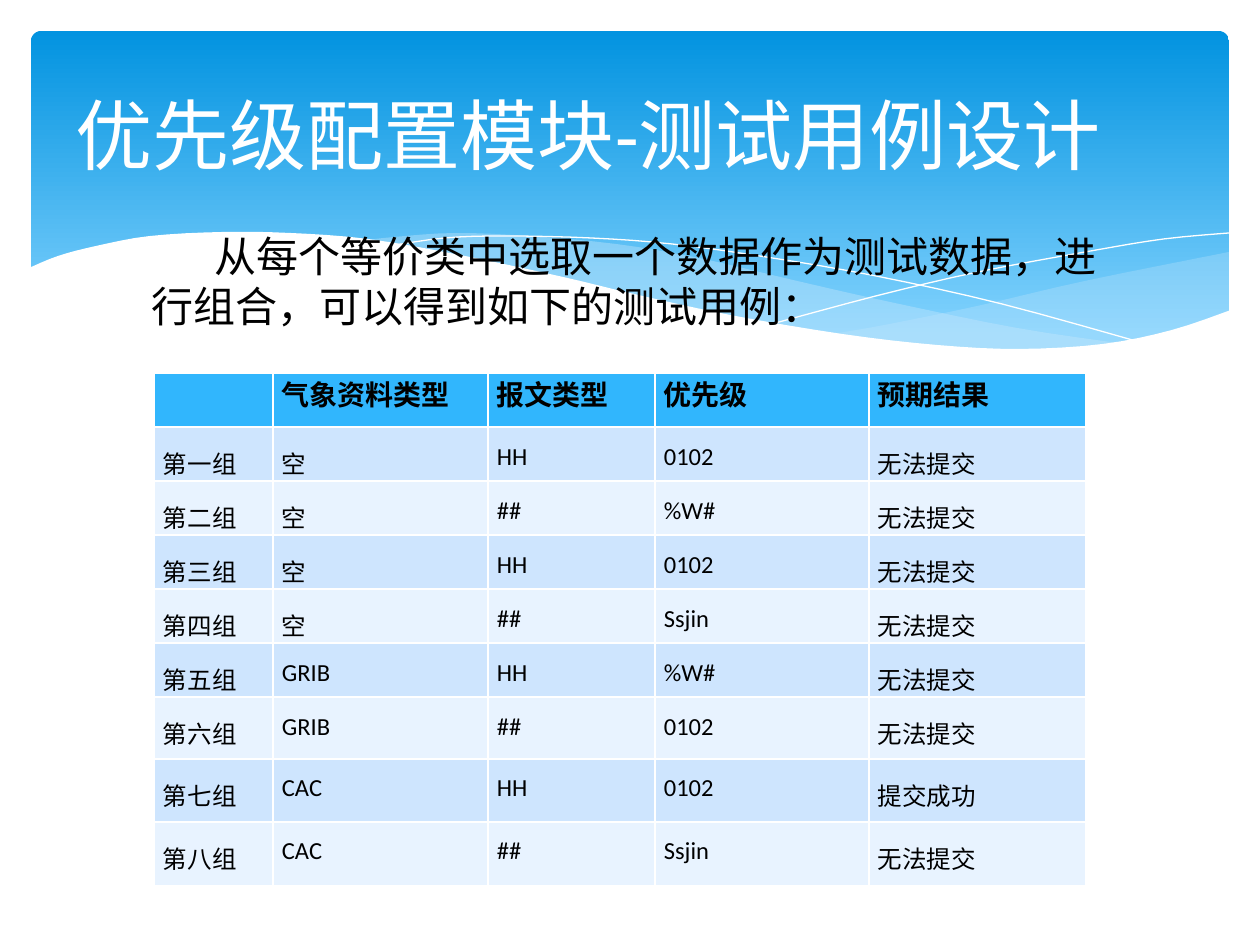
"""Build the test case design slide for the priority configuration module."""
from dataclasses import dataclass

from lxml import etree
from pptx import Presentation
from pptx.dml.color import RGBColor
from pptx.enum.shapes import MSO_SHAPE
from pptx.enum.text import MSO_ANCHOR, MSO_AUTO_SIZE, PP_ALIGN
from pptx.oxml.ns import qn
from pptx.util import Pt

ROUNDED = MSO_SHAPE.ROUNDED_RECTANGLE
TOP, MIDDLE = MSO_ANCHOR.TOP, MSO_ANCHOR.MIDDLE
NO_FIT = MSO_AUTO_SIZE.NONE
LEFT, JUSTIFY = PP_ALIGN.LEFT, PP_ALIGN.JUSTIFY
EMU_PER_PX = 914400 / 126


@dataclass(frozen=True)
class Theme:
    font: str = "Calibri"
    white: str = "FFFFFF"
    black: str = "000000"
    navy: str = "073E87"
    sky_top: str = "0293E0"
    sky_bottom: str = "83D3FE"
    mist: str = "C6E7FC"
    header: str = "31B6FD"
    stripes: tuple = ("CEE5FE", "E8F3FF")
    title_size: int = 44
    intro_size: int = 24
    header_size: int = 16
    cell_size: int = 14


THEME = Theme()

TITLE = "优先级配置模块-测试用例设计"
INTRO = "从每个等价类中选取一个数据作为测试数据，进行组合，可以得到如下的测试用例："
HEADINGS = ("", "气象资料类型", "报文类型", "优先级", "预期结果")
CASES = [
    ("第一组", "空", "HH", "0102", "无法提交"),
    ("第二组", "空", "##", "%W#", "无法提交"),
    ("第三组", "空", "HH", "0102", "无法提交"),
    ("第四组", "空", "##", "Ssjin", "无法提交"),
    ("第五组", "GRIB", "HH", "%W#", "无法提交"),
    ("第六组", "GRIB", "##", "0102", "无法提交"),
    ("第七组", "CAC", "HH", "0102", "提交成功"),
    ("第八组", "CAC", "##", "Ssjin", "无法提交"),
]

SLIDE_SIZE = (1260, 945)
SKY_BOX = (31, 31, 1198, 340)
TITLE_BOX = (63, 47, 1134, 173)
INTRO_BOX = (139, 224, 982, 118)
TABLE_CORNER = (154, 373)
COLUMN_WIDTHS = (119, 215, 167, 214, 217)
ROW_HEIGHTS = (54,) * 6 + (62, 63, 64)
CELL_INSET = 9

RIGHT_BAND = [
    [(1229, 252), (1085, 281), (982, 305), (890, 324), (833, 334)],
    [(833, 334), (888, 341), (954, 348), (1012, 350), (1087, 346), (1150, 336),
     (1196, 324), (1229, 311)],
]
MIDDLE_BAND = [
    [(1125, 344), (1017, 328), (890, 302), (793, 280), (699, 258), (616, 244),
     (529, 236), (455, 233), (394, 237), (360, 241)],
    [(360, 241), (431, 251), (509, 266), (566, 280), (668, 302), (757, 321),
     (838, 335), (910, 345), (974, 349), (1043, 350), (1092, 348), (1125, 344)],
]
FALLING_LINE = [[(389, 246), (445, 238), (505, 236), (591, 238), (672, 244),
                 (766, 257), (876, 276), (1002, 304), (1143, 343)]]
RISING_LINE = [[(772, 324), (876, 296), (978, 272), (1091, 251), (1164, 239),
                (1229, 233)]]
WHITE_WAVE = [
    [(1231, 310), (1172, 330), (1103, 344), (1019, 349), (937, 345), (842, 334),
     (730, 315), (634, 294), (563, 277), (460, 255), (368, 239), (290, 233),
     (223, 232), (150, 236), (96, 246), (58, 256), (29, 268)],
    [(29, 415), (1231, 415)],
]
WAVES = [
    (RIGHT_BAND, THEME.mist, 29),
    (MIDDLE_BAND, THEME.mist, 40),
    (FALLING_LINE, None, 100),
    (RISING_LINE, None, 100),
    (WHITE_WAVE, THEME.white, 100),
]


def px(length):
    return round(length * EMU_PER_PX)


def rgb(color):
    return RGBColor.from_string(color)


def smooth(knots, steps=4):
    """Return a Catmull-Rom curve through the knots."""
    padded = [knots[0], *knots, knots[-1]]
    curve = [knots[0]]
    for a, b, c, d in zip(padded, padded[1:], padded[2:], padded[3:]):
        for t in (step / steps for step in range(1, steps + 1)):
            curve.append(tuple(
                (2 * q + (r - p) * t + (2 * p - 5 * q + 4 * r - s) * t ** 2
                 + (3 * q - p - 3 * r + s) * t ** 3) / 2
                for p, q, r, s in zip(a, b, c, d)))
    return curve


def add_wave(shapes, curves, color, opacity):
    points = [(px(x), px(y)) for knots in curves for x, y in smooth(knots)]
    builder = shapes.build_freeform(*points[0], scale=1.0)
    builder.add_line_segments(points[1:], close=color is not None)
    wave = builder.convert_to_shape()
    wave.shadow.inherit = False
    if color is None:
        wave.fill.background()
        wave.line.color.rgb = rgb(THEME.white)
        wave.line.width = Pt(0)
        return
    wave.fill.solid()
    wave.fill.fore_color.rgb = rgb(color)
    wave.line.fill.background()
    if opacity < 100:
        tint = next(wave._element.spPr.iter(qn("a:srgbClr")))
        etree.SubElement(tint, qn("a:alpha"), val=str(opacity * 1000))


def add_sky(shapes):
    sky = shapes.add_shape(ROUNDED, *map(px, SKY_BOX))
    sky.adjustments[0] = 0.03
    sky.shadow.inherit = False
    sky.line.fill.background()
    sky.fill.gradient()
    sky.fill.gradient_angle = 270
    stops = ((0, THEME.sky_top), (0.9, THEME.sky_bottom))
    for stop, (position, color) in zip(sky.fill.gradient_stops, stops):
        stop.position = position
        stop.color.rgb = rgb(color)


def add_run(paragraph, text, size, color, bold=False):
    run = paragraph.add_run()
    run.text = text
    run.font.name = THEME.font
    run.font.size = Pt(size)
    run.font.bold = bold
    run.font.color.rgb = rgb(color)


def place_text(holder, box, anchor, runs, size):
    holder.left, holder.top, holder.width, holder.height = map(px, box)
    frame = holder.text_frame
    frame.word_wrap = True
    frame.auto_size = NO_FIT
    frame.vertical_anchor = anchor
    paragraph = frame.paragraphs[0]
    paragraph.alignment = LEFT
    for text, color in runs:
        add_run(paragraph, text, size, color)
    return paragraph


def add_cases(shapes):
    rows = [HEADINGS, *CASES]
    cases = shapes.add_table(
        len(rows), len(HEADINGS), *map(px, TABLE_CORNER),
        px(sum(COLUMN_WIDTHS)), px(sum(ROW_HEIGHTS))).table
    for column, width in zip(cases.columns, COLUMN_WIDTHS):
        column.width = px(width)
    for index, (row, height, values) in enumerate(zip(cases.rows, ROW_HEIGHTS, rows)):
        row.height = px(height)
        heading = index == 0
        color = THEME.header if heading else THEME.stripes[(index - 1) % 2]
        size = THEME.header_size if heading else THEME.cell_size
        for cell, value in zip(row.cells, values):
            cell.fill.solid()
            cell.fill.fore_color.rgb = rgb(color)
            cell.margin_left = cell.margin_right = px(CELL_INSET)
            cell.margin_top = cell.margin_bottom = 0
            paragraph = cell.text_frame.paragraphs[0]
            paragraph.alignment = JUSTIFY
            if not heading:
                paragraph.line_spacing = 1.5
            if value:
                add_run(paragraph, value, size, THEME.black, heading)


def main():
    deck = Presentation()
    deck.slide_width, deck.slide_height = map(px, SLIDE_SIZE)
    slide = deck.slides.add_slide(deck.slide_layouts[1])
    shapes = slide.shapes
    title, intro = shapes.title, slide.placeholders[1]
    add_sky(shapes)
    for wave in WAVES:
        add_wave(shapes, *wave)
    for holder in (intro, title):
        shapes._spTree.append(holder._element)
    intro_line = place_text(intro, INTRO_BOX, TOP,
                            [("\t", THEME.navy), (INTRO, THEME.black)], THEME.intro_size)
    properties = intro_line._p.get_or_add_pPr()
    properties.set("marL", "0")
    properties.set("indent", "0")
    etree.SubElement(properties, qn("a:buNone"))
    place_text(title, TITLE_BOX, MIDDLE, [(TITLE, THEME.white)], THEME.title_size)
    add_cases(shapes)
    deck.save("out.pptx")


if __name__ == "__main__":
    main()
